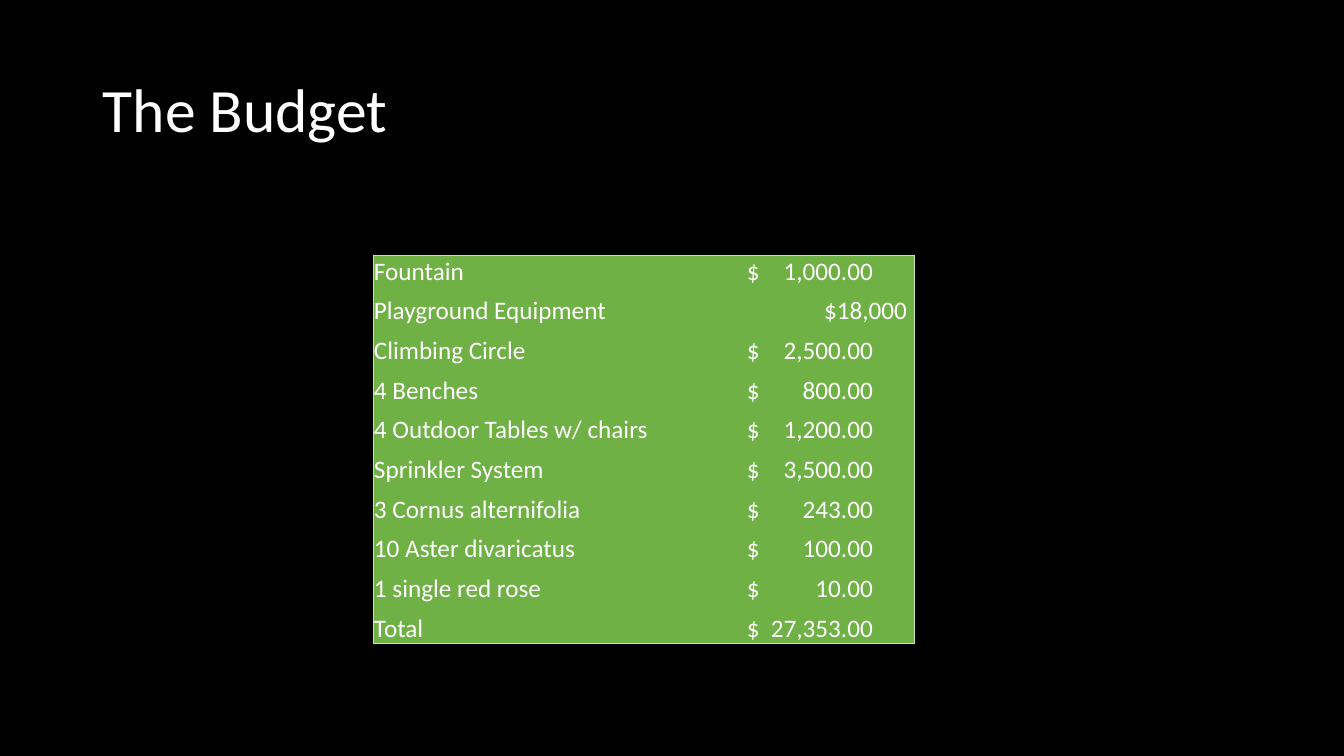
from lxml.etree import SubElement
from pptx import Presentation
from pptx.dml.color import RGBColor
from pptx.enum.text import MSO_ANCHOR as Anchor, PP_ALIGN as Align
from pptx.oxml import parse_xml
from pptx.oxml.ns import nsdecls, qn
from pptx.util import Pt

SCALE = 914400 / 100.8
FONT = "Calibri"
NO_STYLE = "{2D5ABB26-0587-4C30-8999-92F81FD0307C}"
COLORS = {"ground": "000000", "text": "FFFFFF", "cell": "6FB144", "edge": "C9DBC1"}
BUDGET = [
    ("Fountain", "$\t1,000.00"),
    ("Playground Equipment", "$18,000"),
    ("Climbing Circle", "$\t2,500.00"),
    ("4 Benches", "$\t800.00"),
    ("4 Outdoor Tables w/ chairs", "$\t1,200.00"),
    ("Sprinkler System", "$\t3,500.00"),
    ("3 Cornus alternifolia", "$\t243.00"),
    ("10 Aster divaricatus", "$\t100.00"),
    ("1 single red rose", "$\t10.00"),
    ("Total", "$\t27,353.00"),
]


def px(length):
    return round(length * SCALE)


def color(name):
    return RGBColor.from_string(COLORS[name])


def style(paragraph, size):
    font = paragraph.font
    font.name, font.size = FONT, Pt(size)
    font.color.rgb = color("text")


def add_title(slide, box, text):
    title = slide.shapes.add_textbox(*map(px, box)).text_frame
    title.word_wrap = True
    title.vertical_anchor = Anchor.MIDDLE
    title.text = text
    heading = title.paragraphs[0]
    heading.line_spacing = 0.9
    style(heading, 44)


def add_edges(cell, sides):
    properties = cell._tc.get_or_add_tcPr()
    for place, side in enumerate(sides):
        properties.insert(place, parse_xml(
            f'<a:ln{side} {nsdecls("a")} w="6350"><a:solidFill>'
            f'<a:srgbClr val="{COLORS["edge"]}"/></a:solidFill></a:ln{side}>'))


def add_tab(paragraph, position):
    tabs = SubElement(paragraph._p.get_or_add_pPr(), qn("a:tabLst"))
    SubElement(tabs, qn("a:tab"), pos=str(px(position)), algn="r")


def fill_cell(cell, text, indent):
    cell.fill.solid()
    cell.fill.fore_color.rgb = color("cell")
    cell.vertical_anchor = Anchor.BOTTOM
    cell.margin_left = cell.margin_right = px(indent)
    cell.margin_top, cell.margin_bottom = px(1), 0
    cell.text = text
    entry = cell.text_frame.paragraphs[0]
    style(entry, 18)
    return entry


def add_budget(slide, box, entries):
    left, top, width, height = box
    item_width, first_height = 367, 32
    table = slide.shapes.add_table(len(entries), 2, *map(px, box)).table
    table._tbl.tblPr.find(qn("a:tableStyleId")).text = NO_STYLE
    table.first_row = table.horz_banding = False
    table.columns[0].width = px(item_width)
    table.columns[1].width = px(width - item_width)
    last = len(entries) - 1
    for number, (item, amount) in enumerate(entries):
        table.rows[number].height = px((height - first_height) / last if number else first_height)
        item_cell, amount_cell = table.cell(number, 0), table.cell(number, 1)
        fill_cell(item_cell, item, 1)
        price = fill_cell(amount_cell, amount, 7)
        if "\t" in amount:
            add_tab(price, 126)
        else:
            price.alignment = Align.RIGHT
        ends = ["T"] * (number == 0) + ["B"] * (number == last)
        add_edges(item_cell, ["L"] + ends)
        add_edges(amount_cell, ["R"] + ends)


def add_budget_slide(deck):
    slide = deck.slides.add_slide(deck.slide_layouts[6])
    slide.background.fill.solid()
    slide.background.fill.fore_color.rgb = color("ground")
    add_title(slide, (93, 40, 1159, 146), "The Budget")
    add_budget(slide, (373, 255, 541, 389), BUDGET)


deck = Presentation()
deck.slide_width, deck.slide_height = px(1344), px(756)
add_budget_slide(deck)
deck.save("out.pptx")
